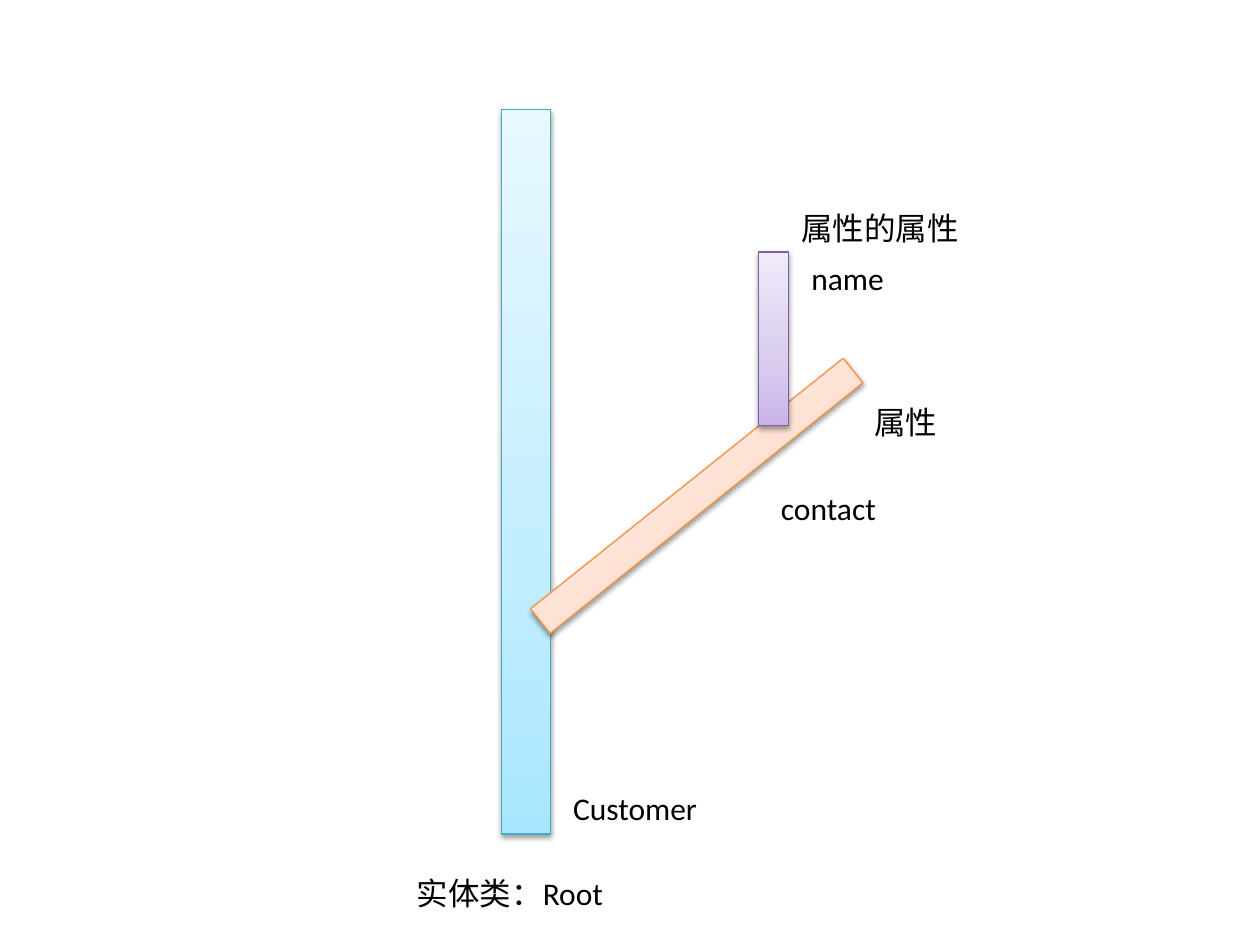
from copy import deepcopy
from pptx import Presentation
from pptx.dml.color import RGBColor
from pptx.enum.shapes import MSO_SHAPE
from pptx.enum.text import MSO_AUTO_SIZE
from pptx.oxml import parse_xml
from pptx.oxml.ns import nsdecls, qn
from pptx.util import Inches, Pt

BLACK = RGBColor(0x00, 0x00, 0x00)
BLUE_LINE = RGBColor(0x46, 0xAA, 0xC5)
BLUES = [RGBColor(0xA7, 0xE6, 0xFF), RGBColor(0xC1, 0xED, 0xFF), RGBColor(0xE7, 0xF8, 0xFF)]
ORANGE_LINE = RGBColor(0xF6, 0x92, 0x40)
ORANGES = [RGBColor(0xFF, 0xD2, 0xBD), RGBColor(0xFF, 0xDE, 0xD0), RGBColor(0xFF, 0xF2, 0xED)]
PURPLE_LINE = RGBColor(0x7D, 0x60, 0xA0)
PURPLES = [RGBColor(0xC9, 0xB5, 0xE8), RGBColor(0xD8, 0xCB, 0xEE), RGBColor(0xF0, 0xEA, 0xF9)]

SHADOW = (
    f'<a:effectLst {nsdecls("a")}>'
    '<a:outerShdw blurRad="40000" dist="20000" dir="5400000" rotWithShape="0">'
    '<a:srgbClr val="000000"><a:alpha val="38000"/></a:srgbClr>'
    '</a:outerShdw></a:effectLst>'
)

prs = Presentation()
prs.slide_width, prs.slide_height = Inches(10), Inches(7.5)
s = prs.slides.add_slide(prs.slide_layouts[6])

bars = [
    (3.98, 0.87, 0.39, 5.75, 0, BLUES, BLUE_LINE),
    (3.94, 3.81, 3.18, 0.25, 321.3, ORANGES, ORANGE_LINE),
    (6.02, 2, 0.24, 1.38, 0, PURPLES, PURPLE_LINE),
]
for x, y, w, h, rotation, colors, line in bars:
    sp = s.shapes.add_shape(MSO_SHAPE.RECTANGLE, Inches(x), Inches(y), Inches(w), Inches(h))
    sp.rotation = rotation
    sp.line.color.rgb = line
    sp.line.width = Pt(0.75)
    sp.fill.gradient()
    sp.fill.gradient_angle = 90
    stops = sp._element.spPr.find(qn("a:gradFill")).find(qn("a:gsLst"))
    stops.append(deepcopy(stops[0]))
    for stop, position, color in zip(sp.fill.gradient_stops, (0, 0.35, 1), colors):
        stop.position = position
        stop.color.rgb = color
    sp._element.spPr.append(parse_xml(SHADOW))

labels = [
    ("实体类：Root", 3.21, 6.89, 1.93),
    ("属性", 6.84, 3.15, 2.28),
    ("属性的属性", 6.26, 1.61, 2.28),
    ("Customer", 4.45, 6.21, 1.57),
    ("contact", 6.1, 3.83, 1.3),
    ("name", 6.34, 2.01, 1.18),
]
for text, x, y, w in labels:
    tf = s.shapes.add_textbox(Inches(x), Inches(y), Inches(w), Inches(0.4)).text_frame
    tf.word_wrap = True
    tf.auto_size = MSO_AUTO_SIZE.SHAPE_TO_FIT_TEXT
    tf.text = text
    r = tf.paragraphs[0].runs[0]
    r.font.name = "Calibri"
    r.font.size = Pt(18)
    r.font.color.rgb = BLACK

prs.save("out.pptx")
